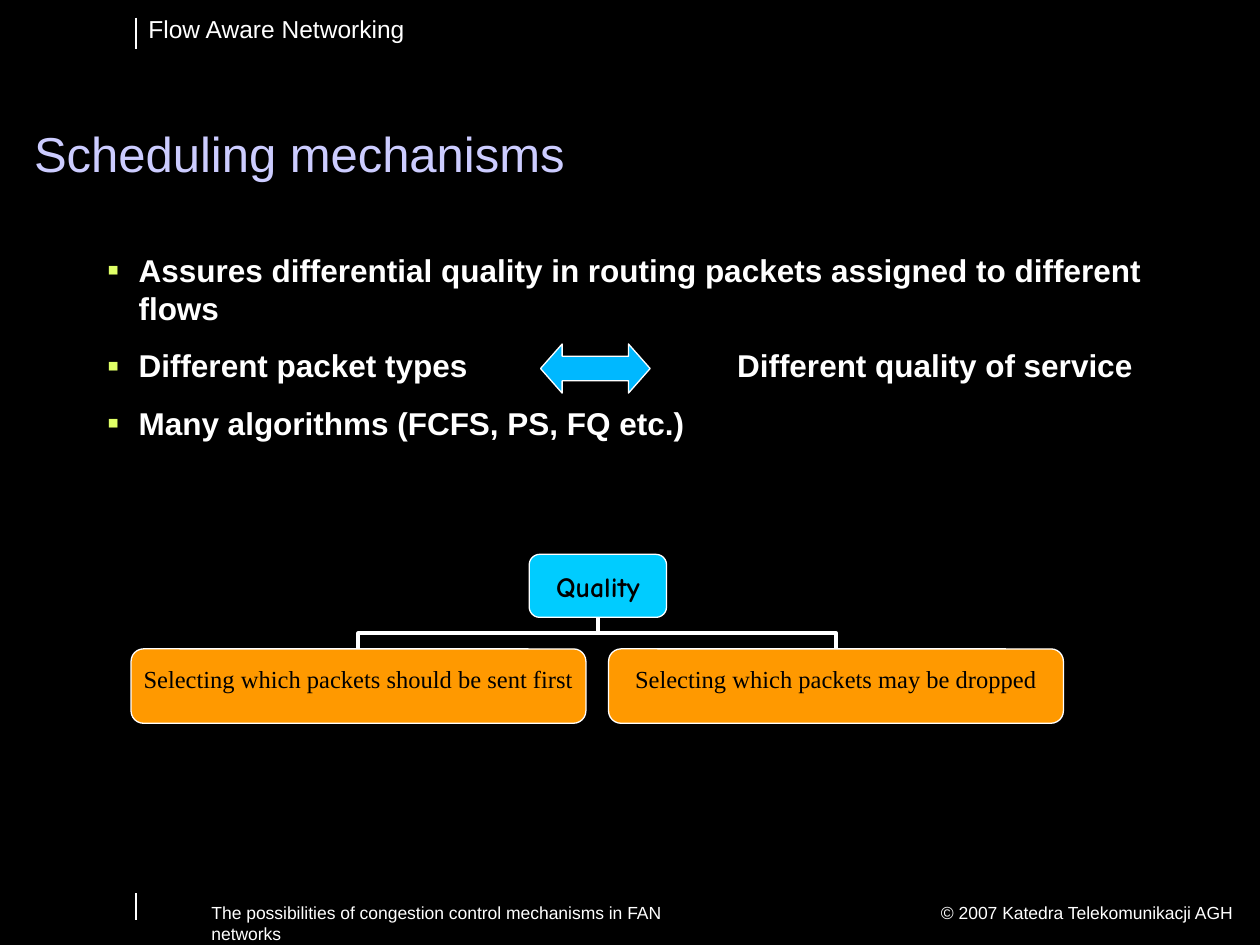
"""Build the slide on scheduling mechanisms in flow aware networks."""
from lxml.etree import SubElement
from pptx import Presentation
from pptx.dml.color import RGBColor
from pptx.enum.shapes import MSO_CONNECTOR as LINK, MSO_SHAPE as SHAPE
from pptx.enum.text import MSO_ANCHOR as ANCHOR, MSO_AUTO_SIZE as FIT, PP_ALIGN as ALIGN
from pptx.oxml.ns import qn
from pptx.util import Inches, Pt

BLACK = RGBColor(0x00, 0x00, 0x00)
WHITE = RGBColor(0xFF, 0xFF, 0xFF)
LAVENDER = RGBColor(0xCC, 0xCC, 0xFF)
LIME = RGBColor(0xDF, 0xFF, 0x66)
BLUE = RGBColor(0x00, 0xB8, 0xFF)
CYAN = RGBColor(0x00, 0xCC, 0xFF)
ORANGE = RGBColor(0xFF, 0x99, 0x00)

deck = Presentation()
deck.slide_width, deck.slide_height = Inches(10), Inches(7.5)
COL, ROW = deck.slide_width / 100, deck.slide_height / 75
slide = deck.slides.add_slide(deck.slide_layouts[1])
slide.background.fill.solid()
slide.background.fill.fore_color.rgb = BLACK
shapes = slide.shapes


def cells(left, top, width, height):
    return round(left * COL), round(top * ROW), round(width * COL), round(height * ROW)


def write(paragraph, words, size, color=WHITE, font="Arial", bold=False, align=ALIGN.LEFT):
    paragraph.alignment = align
    run = paragraph.add_run()
    run.text = words
    run.font.size, run.font.name, run.font.bold = Pt(size), font, bold
    run.font.color.rgb = color


for words, area, size, align in (
    ("Flow Aware Networking", (10.8, 0.6, 30, 3.4), 14, ALIGN.LEFT),
    ("© 2007 Katedra Telekomunikacji AGH", (62.6, 71.1, 36.2, 2.7), 10, ALIGN.RIGHT),
    ("The possibilities of congestion control mechanisms in FAN networks",
     (15.8, 71.1, 41.7, 2.7), 10, ALIGN.LEFT),
):
    margin_note = shapes.add_textbox(*cells(*area)).text_frame
    margin_note.word_wrap = True
    write(margin_note.paragraphs[0], words, size, align=align)

for top, bottom in ((1.4, 3.9), (70.9, 73)):
    x, y, _, height = cells(10.8, top, 0, bottom - top)
    rule = shapes.add_connector(LINK.STRAIGHT, x, y, x, y + height)
    rule.line.color.rgb, rule.line.width = WHITE, Pt(0.75)
    SubElement(rule._element.spPr, qn("a:effectLst"))

title = shapes.title
title.left, title.top, title.width, title.height = cells(1.7, 9.5, 90.2, 5.5)
title.text_frame.vertical_anchor = ANCHOR.BOTTOM
title.text_frame.auto_size = FIT.NONE
title.text_frame.paragraphs[0].line_spacing = 0.9
write(title.text_frame.paragraphs[0], "Scheduling mechanisms", 28, LAVENDER)

points = slide.placeholders[1]
points.left, points.top, points.width, points.height = cells(7.5, 19.4, 85, 20.6)
points.text_frame.auto_size = FIT.NONE
for index, words in enumerate((
    "Assures differential quality in routing packets assigned to different flows",
    "Different packet types\t\t\tDifferent quality of service",
    "Many algorithms (FCFS, PS, FQ etc.)",
)):
    point = points.text_frame.add_paragraph() if index else points.text_frame.paragraphs[0]
    write(point, words, 18, bold=True)
    point.space_before, point.space_after = Pt(7.9), Pt(3.4)
    props = point._p.get_or_add_pPr()
    props.set("marL", str(Inches(0.25)))
    props.set("indent", str(-Inches(0.25)))
    SubElement(SubElement(props, qn("a:buClr")), qn("a:srgbClr"), val=str(LIME))
    SubElement(props, qn("a:buSzPct"), val="110000")
    SubElement(props, qn("a:buFont"), typeface="Arial")
    SubElement(props, qn("a:buChar"), char="▪")
    tabs = SubElement(props, qn("a:tabLst"))
    for stop in range(1, 9):
        SubElement(tabs, qn("a:tab"), pos=str(Inches(stop)), algn="l")

arrow = shapes.add_shape(SHAPE.LEFT_RIGHT_ARROW, *cells(42.9, 27.3, 8.7, 3.9))
arrow.adjustments[0], arrow.adjustments[1] = 0.5, 0.44
quality = shapes.add_shape(SHAPE.ROUNDED_RECTANGLE, *cells(42, 44, 10.9, 5))
sending, dropping = [
    shapes.add_shape(SHAPE.ROUNDED_RECTANGLE, *cells(left, 51.5, 36.1, 5.9))
    for left in (10.4, 48.3)
]
for shape, color in ((arrow, BLUE), (quality, CYAN), (sending, ORANGE), (dropping, ORANGE)):
    shape.shadow.inherit = False
    shape.fill.solid()
    shape.fill.fore_color.rgb = color
    shape.line.color.rgb, shape.line.width = WHITE, Pt(0.75)

for box, words, size, font, bold, anchor in (
    (quality, "Quality", 16, "Comic Neue", True, ANCHOR.MIDDLE),
    (sending, "Selecting which packets should be sent first", 14, "Times New Roman", False, ANCHOR.TOP),
    (dropping, "Selecting which packets may be dropped", 14, "Times New Roman", False, ANCHOR.TOP),
):
    label = box.text_frame
    label.word_wrap = False
    label.vertical_anchor = anchor
    label.margin_left = label.margin_right = Inches(0.07)
    label.margin_top = Inches(0.09 if anchor == ANCHOR.TOP else 0.04)
    label.margin_bottom = Inches(0.04)
    write(label.paragraphs[0], words, size, BLACK, font, bold, ALIGN.CENTER)

trunk_x, trunk_y = quality.left + quality.width // 2, quality.top + quality.height
for branch, turn, flip_h in ((sending, 90, "1"), (dropping, 270, "0")):
    branch_x = branch.left + branch.width // 2
    drop, span = branch.top - trunk_y, abs(branch_x - trunk_x)
    link = shapes.add_connector(LINK.ELBOW, branch_x, branch.top, trunk_x, trunk_y)
    link.begin_connect(branch, 0)
    link.end_connect(quality, 2)
    link.left = (branch_x + trunk_x - drop) // 2
    link.top = (branch.top + trunk_y - span) // 2
    link.width, link.height = drop, span
    frame = link._element.spPr.find(qn("a:xfrm"))
    frame.set("rot", str(turn * 60000))
    frame.set("flipH", flip_h)
    frame.set("flipV", "1")
    link.line.color.rgb, link.line.width = WHITE, Pt(2.25)
    SubElement(link._element.spPr, qn("a:effectLst"))

deck.save("out.pptx")
